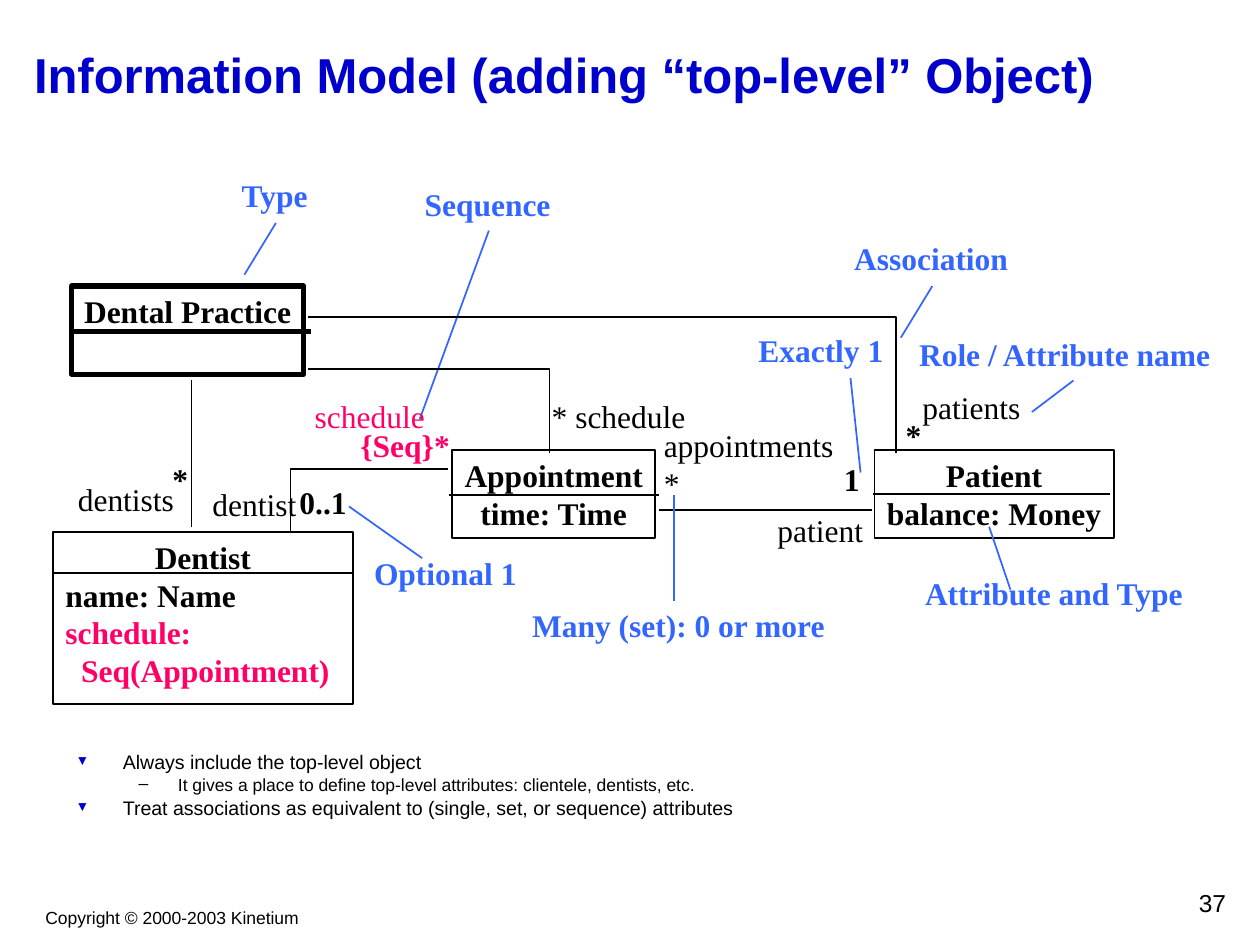
from lxml import etree
from pptx import Presentation
from pptx.dml.color import RGBColor
from pptx.enum.shapes import MSO_CONNECTOR, MSO_SHAPE
from pptx.enum.text import MSO_ANCHOR, MSO_AUTO_SIZE, PP_ALIGN
from pptx.oxml.ns import qn
from pptx.util import Pt

LEFT, CENTER, RIGHT = PP_ALIGN.LEFT, PP_ALIGN.CENTER, PP_ALIGN.RIGHT
TOP, MIDDLE = MSO_ANCHOR.TOP, MSO_ANCHOR.MIDDLE
COLORS = {"ink": "000000", "title": "0000CC", "note": "3366FF", "sequence": "FF0066"}
SANS, SERIF = "Arial", "Times New Roman"


def color(name):
    return RGBColor.from_string(COLORS[name])


def write(frame, lines, anchor=MIDDLE, wrap=False):
    """Fill a text frame; each line is (text, alignment, colour name, font settings)."""
    settings = {"word_wrap": wrap, "auto_size": MSO_AUTO_SIZE.NONE, "vertical_anchor": anchor,
                "margin_left": Pt(7.2), "margin_right": Pt(7.2),
                "margin_top": Pt(3.6), "margin_bottom": Pt(3.6)}
    for key, value in settings.items():
        setattr(frame, key, value)
    for index, (text, alignment, ink, font) in enumerate(lines):
        paragraph = frame.add_paragraph() if index else frame.paragraphs[0]
        paragraph.text = text
        paragraph.alignment = alignment
        for run in paragraph.runs:
            run.font.color.rgb = color(ink)
            for key, value in font.items():
                setattr(run.font, key, value)


prs = Presentation()
prs.slide_width, prs.slide_height = Pt(720), Pt(540)
slide = prs.slides.add_slide(prs.slide_layouts[1])
shapes = slide.shapes
title, body = slide.placeholders

plain = {"name": SERIF, "size": Pt(18), "bold": False}
strong = {**plain, "bold": True}

# Title and list
for placeholder, (left, top, width, height) in ((title, (12.24, 12.24, 696.24, 59.76)),
                                                (body, (36, 428.4, 624.24, 46.08))):
    placeholder.left, placeholder.top = Pt(left), Pt(top)
    placeholder.width, placeholder.height = Pt(width), Pt(height)
write(title.text_frame,
      [("Information Model (adding “top-level” Object)", LEFT, "title",
        {"name": SANS, "size": Pt(28), "bold": True})], wrap=True)

LEVELS = [  # margin, hanging indent, font size, space before, bullet, bullet colour, bullet size
    (27, 27, 11.2, 4.5, "▼", "title", 70),
    (58.5, 22.5, 10, 4, "–", "ink", 100),
]
points = [
    (0, "Always include the top-level object"),
    (1, "It gives a place to define top-level attributes: clientele, dentists, etc."),
    (0, "Treat associations as equivalent to (single, set, or sequence) attributes"),
]
write(body.text_frame,
      [(text, LEFT, "ink", {"name": SANS, "size": Pt(LEVELS[level][2])}) for level, text in points],
      anchor=TOP, wrap=True)
for index, (paragraph, (level, _)) in enumerate(zip(body.text_frame.paragraphs, points)):
    margin, hanging, _, before, bullet, bullet_color, bullet_size = LEVELS[level]
    paragraph.level = level
    paragraph.line_spacing = 0.7
    paragraph.space_before = Pt(before if index else 0)
    properties = paragraph._p.get_or_add_pPr()
    properties.set("marL", str(Pt(margin)))
    properties.set("indent", str(-Pt(hanging)))
    bullet_fill = etree.SubElement(properties, qn("a:buClr"))
    etree.SubElement(bullet_fill, qn("a:srgbClr"), val=COLORS[bullet_color])
    etree.SubElement(properties, qn("a:buSzPct"), val=str(bullet_size * 1000))
    etree.SubElement(properties, qn("a:buFont"), typeface=SANS)
    etree.SubElement(properties, qn("a:buChar"), char=bullet)

# Types of the model: box, line width, anchor, wrap, lines of text
types = [
    ((258.48, 257.04, 115.92, 50.4), 1, MIDDLE, False,
     [("Appointment", CENTER, "ink"), ("time: Time", CENTER, "ink")]),
    ((499.68, 257.04, 136.8, 50.4), 1, MIDDLE, False,
     [("Patient", CENTER, "ink"), ("balance: Money", CENTER, "ink")]),
    ((30.24, 303.84, 171.36, 98.64), 1, TOP, True,
     [("Dentist", CENTER, "ink"), ("name: Name", LEFT, "ink"),
      ("schedule:\vSeq(Appointment)", LEFT, "sequence")]),
    ((41.04, 163.44, 132.48, 50.4), 3, TOP, False, [("Dental Practice", CENTER, "ink")]),
]
for box, weight, anchor, wrap, lines in types:
    type_box = shapes.add_shape(MSO_SHAPE.RECTANGLE, *map(Pt, box))
    type_box.shadow.inherit = False
    type_box.fill.background()
    type_box.line.color.rgb = color("ink")
    type_box.line.width = Pt(weight)
    write(type_box.text_frame, [(*line, strong) for line in lines], anchor, wrap)
    for paragraph, (_, _, ink) in zip(type_box.text_frame.paragraphs, lines):
        if ink == "sequence":
            hanging_indent = paragraph._p.get_or_add_pPr()
            hanging_indent.set("marL", str(Pt(9)))
            hanging_indent.set("indent", str(-Pt(9)))

# Straight lines: start, end, colour, width
straight_lines = [
    (256.32, 283, 376.56, 283, "ink", 1),         # Appointment divider
    (30.24, 327.6, 202.32, 327.6, "ink", 1),      # Dentist divider
    (498.96, 282.24, 634.32, 282.24, "ink", 1),   # Patient divider
    (39.6, 189.36, 177.84, 189.36, "ink", 3),     # Dental Practice divider
    (376.56, 291.6, 498.24, 291.6, "ink", 1),     # Appointment to Patient
    (109.44, 217.44, 109.44, 300.96, "ink", 1),   # Dental Practice to Dentist
    (157.68, 127.44, 139.68, 156.96, "note", 1),
    (532.8, 163.44, 514.8, 192.96, "note", 1),
    (613.44, 217.44, 589.68, 235.44, "note", 1),
    (565.2, 300.96, 577.44, 336.96, "note", 1),
    (385.2, 283, 385.2, 343.44, "note", 1),
    (199.44, 289.44, 241.2, 318.96, "note", 1),
    (486, 216, 491.76, 270, "note", 1),
    (279.36, 131.76, 239.76, 239.76, "note", 1),
]
for *ends, ink, weight in straight_lines:
    connector = shapes.add_connector(MSO_CONNECTOR.STRAIGHT, *map(Pt, ends))
    connector.line.color.rgb = color(ink)
    connector.line.width = Pt(weight)
    etree.SubElement(connector._element.spPr, qn("a:effectLst"))

# Associations that turn a corner
corners = [
    [(256.32, 267.84), (166.32, 267.84), (166.32, 303.84)],
    [(175.68, 210.96), (313.56, 210.96), (313.56, 259.2)],
    [(175.68, 181.44), (511.5, 181.44), (511.5, 259.2)],
]
for start, *turns in corners:
    builder = shapes.build_freeform(*start, scale=Pt(1))
    builder.add_line_segments(turns, close=False)
    association = builder.convert_to_shape()
    association.shadow.inherit = False
    association.fill.background()
    association.line.color.rgb = color("ink")
    association.line.width = Pt(1)

# Labels: text, left, top, width, colour, font
labels = [
    ("dentist", 114.48, 273.6, 61.92, "ink", plain),
    ("patient", 437.04, 288.72, 63.36, "ink", plain),
    ("patients", 519.84, 218.16, 70.56, "ink", plain),
    ("* schedule", 308.16, 223.2, 90.72, "ink", plain),
    ("dentists", 37.44, 270.72, 69.12, "ink", plain),
    ("schedule", 172.8, 223.2, 77.04, "sequence", plain),
    ("{Seq}*", 198.72, 239.76, 65.52, "sequence", strong),
    ("0..1", 164.16, 272.16, 41.04, "ink", strong),
    ("1", 475.2, 259.2, 23.04, "ink", strong),
    ("*", 91.44, 259.2, 23.04, "ink", strong),
    ("*", 510.48, 234, 23.04, "ink", strong),
    ("Type", 130.32, 97.2, 53.28, "note", strong),
    ("Sequence", 235.44, 102.24, 86.4, "note", strong),
    ("Association", 480.96, 133.2, 102.24, "note", strong),
    ("Role / Attribute name", 517.68, 187.92, 181.44, "note", strong),
    ("Exactly 1", 426.24, 185.76, 85.68, "note", strong),
    ("Optional 1", 206.64, 313.2, 95.76, "note", strong),
    ("Many (set): 0 or more", 296.64, 342.72, 182.16, "note", strong),
    ("Attribute and Type", 520.56, 324.72, 163.44, "note", strong),
]
for text, left, top, width, ink, font in labels:
    label = shapes.add_textbox(Pt(left), Pt(top), Pt(width), Pt(28.8))
    write(label.text_frame, [(text, CENTER, ink, font)])

appointments = shapes.add_textbox(Pt(372.24), Pt(239.76), Pt(110.88), Pt(50.4))
write(appointments.text_frame, [(text, LEFT, "ink", plain) for text in ("appointments", "*")])

# Footer
copyright_line = shapes.add_textbox(Pt(18.72), Pt(514.8), Pt(159.12), Pt(19.44))
write(copyright_line.text_frame,
      [("Copyright © 2000-2003 Kinetium", CENTER, "ink", {"name": SANS, "size": Pt(10)})], TOP)
page_number = shapes.add_textbox(Pt(558), Pt(504), Pt(149.76), Pt(23.76))
write(page_number.text_frame, [("37", RIGHT, "ink", {"name": SANS, "size": Pt(14)})], TOP, True)

prs.save("out.pptx")
